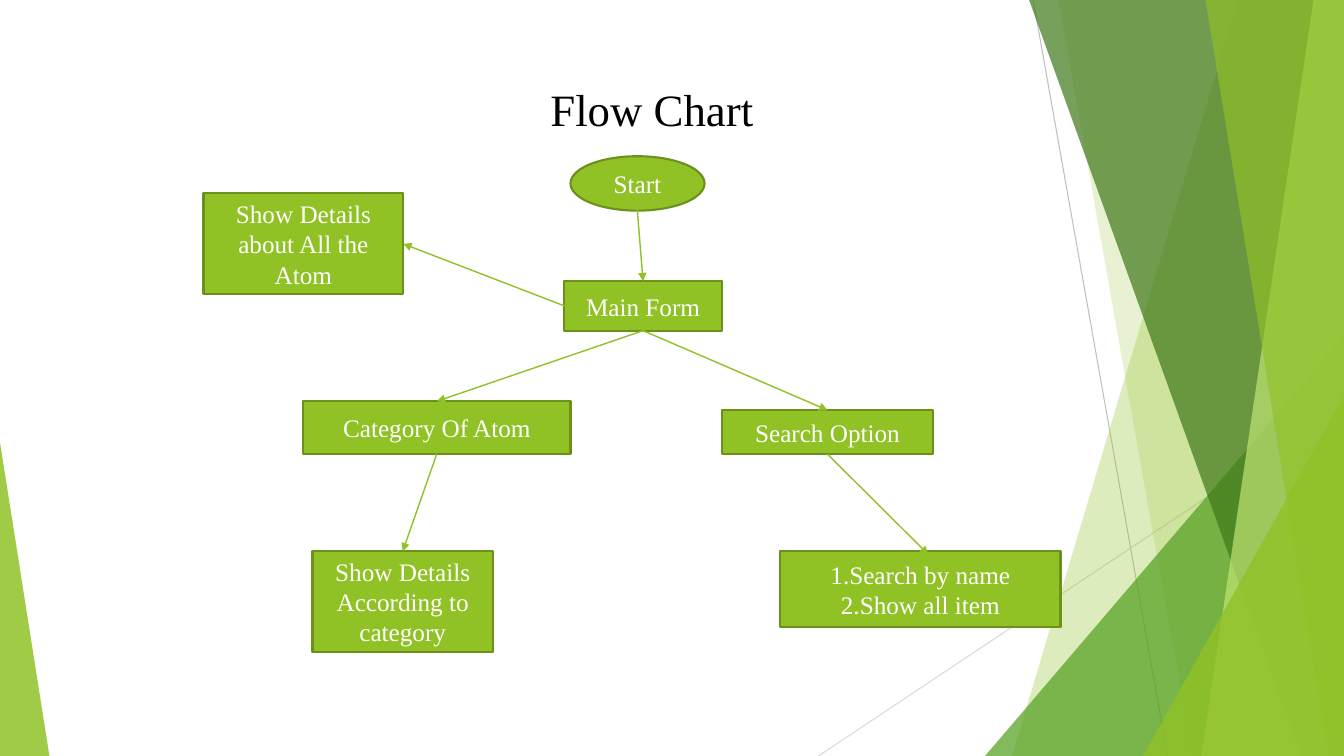
from dataclasses import dataclass

from lxml.etree import SubElement
from pptx import Presentation
from pptx.dml.color import RGBColor
from pptx.enum.shapes import MSO_CONNECTOR, MSO_SHAPE
from pptx.enum.text import MSO_ANCHOR, MSO_AUTO_SIZE, PP_ALIGN
from pptx.oxml.ns import qn
from pptx.util import Pt


@dataclass(frozen=True)
class Theme:
    font: str = "Times New Roman"
    title_size: int = 32
    box_size: int = 18
    black: str = "000000"
    white: str = "FFFFFF"
    lime: str = "90C226"
    outline: str = "6B901C"
    green: str = "54A021"
    forest: str = "3F7819"
    pale: str = "C0E474"
    grey: str = "BFBFBF"
    light_grey: str = "D9D9D9"


theme = Theme()


def write_text(sp, text, size=theme.box_size, color=theme.white,
               align=PP_ALIGN.CENTER, anchor=MSO_ANCHOR.MIDDLE, wrap=True):
    tf = sp.text_frame
    tf.word_wrap = wrap
    tf.auto_size = MSO_AUTO_SIZE.NONE
    tf.vertical_anchor = anchor
    for i, line in enumerate(text.split("\n")):
        p = tf.paragraphs[0] if i == 0 else tf.add_paragraph()
        p.alignment = align
        r = p.add_run()
        r.text = line
        r.font.name = theme.font
        r.font.size = Pt(size)
        r.font.color.rgb = RGBColor.from_string(color)


def draw_line(start, end, color, width):
    line = s.shapes.add_connector(MSO_CONNECTOR.STRAIGHT, *map(Pt, start + end))
    line.line.color.rgb = RGBColor.from_string(color)
    line.line.width = Pt(width)
    SubElement(line._element.spPr, qn("a:effectLst"))
    return line


prs = Presentation()
width, height = 960, 540
prs.slide_width, prs.slide_height = Pt(width), Pt(height)
s = prs.slides.add_slide(prs.slide_layouts[5])

# Background lines
draw_line((738, 0), (834, height), theme.grey, 0.75)
draw_line((width, 290), (584.6, height), theme.light_grey, 0.75)

# Background facets: bands give top and bottom x of their slanted edge,
# triangles give left, width, height and the position of the apex
facets = [
    ("band", (884.2, 722.9), theme.lime, 30),
    ("band", (756, 851.8), theme.lime, 20),
    ("triangle", (703.6, 256.4, 300, 1), theme.green, 72),
    ("band", (735.1, 929.5), theme.forest, 70),
    ("band", (938.2, 858.2), theme.pale, 70),
    ("band", (861.1, 949), theme.lime, 65),
    ("triangle", (816.5, 143.5, 257, 1), theme.lime, 80),
    ("triangle", (0, 35.3, 224, 0), theme.lime, 85),
]
for kind, geometry, color, opacity in facets:
    if kind == "band":
        top_x, bottom_x = geometry
        outline = s.shapes.build_freeform(Pt(top_x), 0)
        outline.add_line_segments(
            [(Pt(x), Pt(y)) for x, y in
             ((width, 0), (width, height), (bottom_x, height))])
        sp = outline.convert_to_shape()
    else:
        left, w, h, apex = geometry
        sp = s.shapes.add_shape(MSO_SHAPE.ISOSCELES_TRIANGLE,
                                Pt(left), Pt(height - h), Pt(w), Pt(h))
        sp.adjustments[0] = apex
    sp.shadow.inherit = False
    sp.line.fill.background()
    sp.fill.solid()
    sp.fill.fore_color.rgb = RGBColor.from_string(color)
    rgb = sp._element.spPr.find(qn("a:solidFill")).find(qn("a:srgbClr"))
    SubElement(rgb, qn("a:alpha"), val=str(opacity * 1000))

# Title
title = s.shapes.title
title.left, title.top, title.width, title.height = map(Pt, (385.9, 54.7, 160.6, 46))
write_text(title, "Flow Chart", size=theme.title_size, color=theme.black,
           align=PP_ALIGN.LEFT, anchor=MSO_ANCHOR.TOP, wrap=False)

# Flow chart boxes
steps = [
    ("start", "Start", (407.5, 111.6, 95.8, 38.9)),
    ("main", "Main Form", (403.2, 200.9, 112.3, 35.3)),
    ("category", "Category Of Atom", (216.7, 286.6, 190.8, 37.4)),
    ("search", "Search Option", (515.5, 293, 151.2, 31.4)),
    ("by_category", "Show Details According to category", (223.2, 393.8, 128.9, 72)),
    ("search_items", "1.Search by name\n2.Show all item", (557.3, 393.8, 200.2, 54)),
    ("all_atoms", "Show Details about All the Atom", (145.4, 138.2, 142.6, 72)),
]
boxes = {}
for name, text, place in steps:
    preset = MSO_SHAPE.OVAL if name == "start" else MSO_SHAPE.RECTANGLE
    sp = s.shapes.add_shape(preset, *map(Pt, place))
    sp.shadow.inherit = False
    sp.fill.solid()
    sp.fill.fore_color.rgb = RGBColor.from_string(theme.lime)
    sp.line.color.rgb = RGBColor.from_string(theme.outline)
    sp.line.width = Pt(1.5)
    write_text(sp, text)
    boxes[name] = sp

# Arrows: each end is a box with its side, or a free point
TOP, LEFT, BOTTOM, RIGHT = range(4)
arrows = [
    ((455, 147), ("main", TOP)),
    (("main", BOTTOM), ("category", TOP)),
    (("main", BOTTOM), ("search", TOP)),
    (("category", BOTTOM), ("by_category", TOP)),
    (("search", BOTTOM), (663.1, 396)),
    (("main", LEFT), ("all_atoms", RIGHT)),
]
for start, end in arrows:
    free_start = (0, 0) if start[0] in boxes else start
    free_end = (0, 0) if end[0] in boxes else end
    arrow = draw_line(free_start, free_end, theme.lime, 1)
    if start[0] in boxes:
        arrow.begin_connect(boxes[start[0]], start[1])
    if end[0] in boxes:
        arrow.end_connect(boxes[end[0]], end[1])
    SubElement(arrow.line._get_or_add_ln(), qn("a:tailEnd"), type="triangle")

prs.save("out.pptx")
